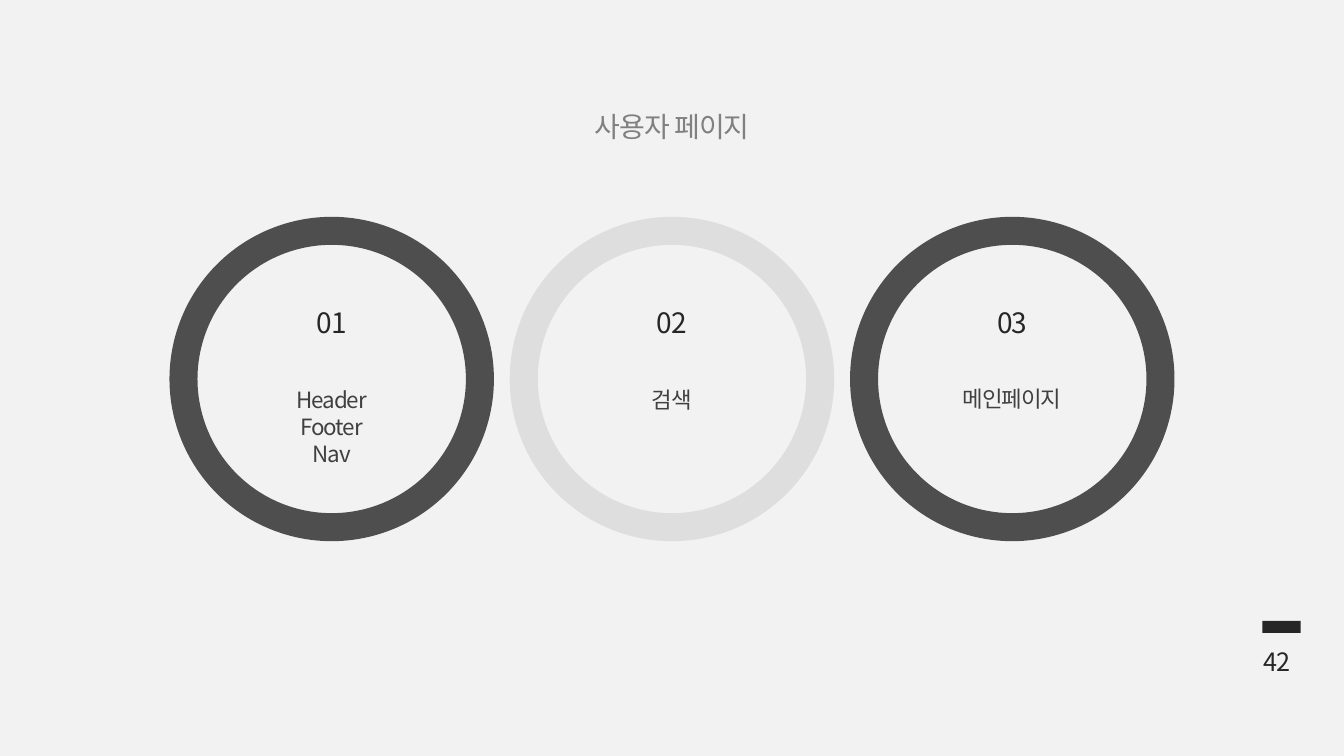
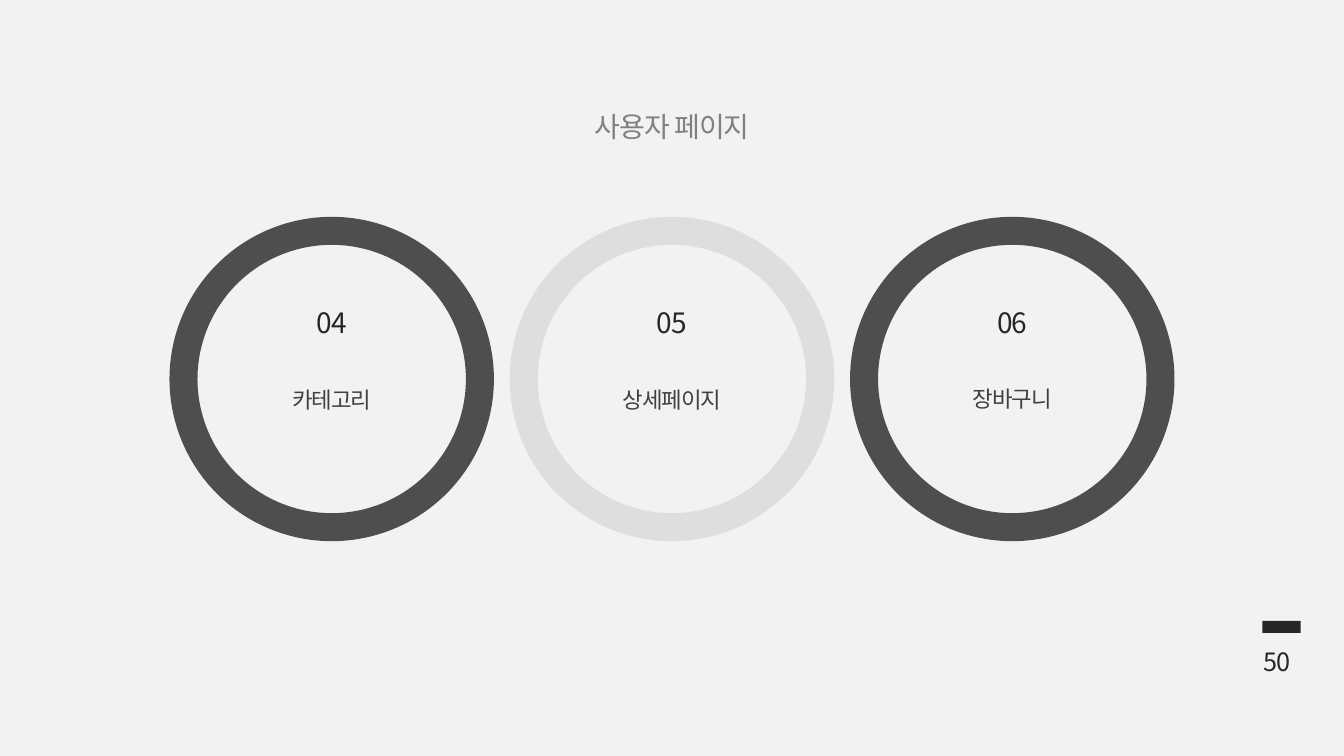
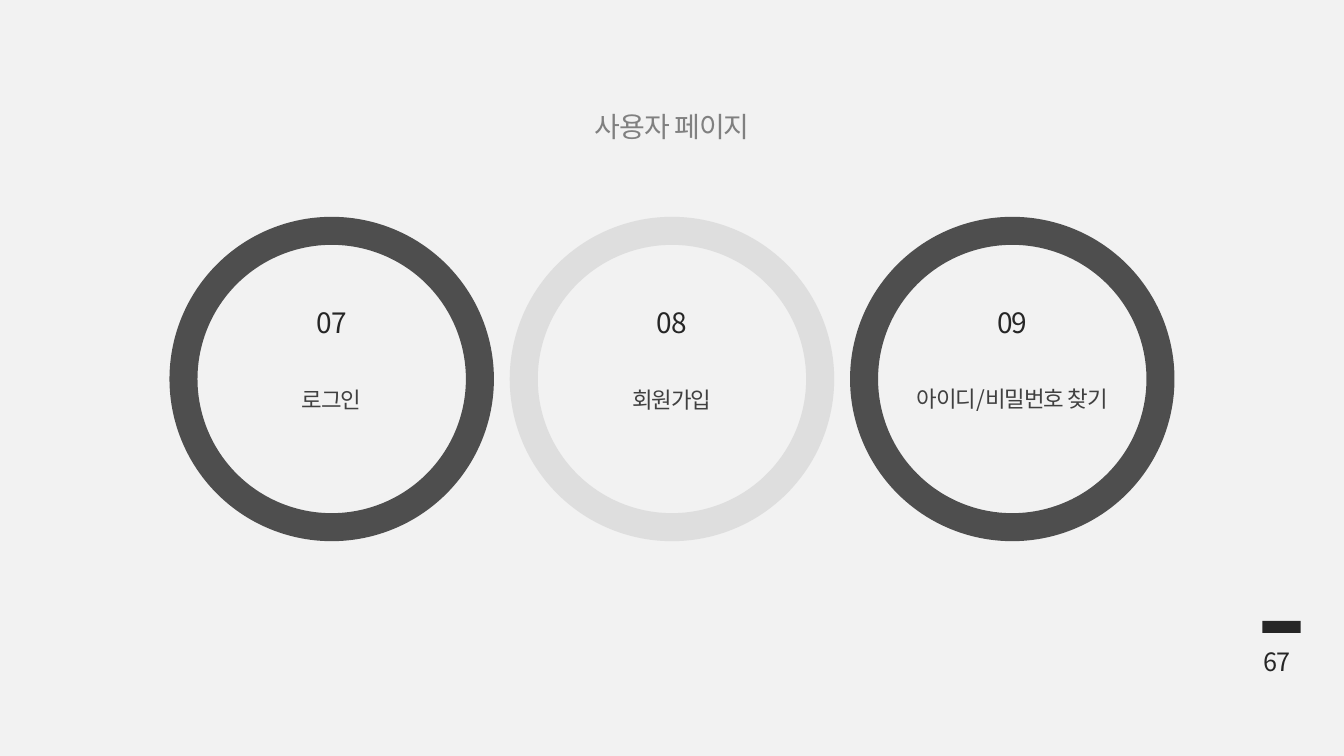
from lxml.etree import SubElement
from pptx import Presentation
from pptx.dml.color import RGBColor
from pptx.enum.shapes import MSO_SHAPE
from pptx.enum.text import PP_ALIGN
from pptx.oxml.ns import qn
from pptx.util import Inches, Pt

TITLE = "사용자 페이지"
PAGES = [
    ("42", [["Header", "Footer", "Nav"], ["검색"], ["메인페이지"]]),
    ("50", [["카테고리"], ["상세페이지"], ["장바구니"]]),
    ("67", [["로그인"], ["회원가입"], ["아이디/비밀번호 찾기"]]),
]

FONT = "Noto Sans CJK KR"
PAPER = RGBColor(0xF2, 0xF2, 0xF2)
INK = RGBColor(0x26, 0x26, 0x26)
TEXT = RGBColor(0x40, 0x40, 0x40)
GRAY = RGBColor(0x80, 0x80, 0x80)
PALE = RGBColor(0xD9, 0xD9, 0xD9)

WIDTH, HEIGHT = 13.33, 7.5
MARGIN, RING, TOP = 1.82, 2.94, 2.29
RINGS = [(INK, 3.78), (PALE, 3.78), (INK, 3.77)]
STEP = (WIDTH - 2 * MARGIN - RING) / (len(RINGS) - 1)


def add_text(slide, lines, box, size, color, align=PP_ALIGN.CENTER):
    frame = slide.shapes.add_textbox(*map(Inches, box)).text_frame
    frame.word_wrap = False
    frame.text = "\n".join(lines)
    for para in frame.paragraphs:
        para.alignment = align
        font = para.font
        font.size = Pt(size)
        font.color.rgb = color
        font.name = FONT
        props = font._rPr
        props.set("spc", "-70")
        SubElement(props, qn("a:ea"), typeface=FONT)


def add_ring(slide, left, color):
    ring = slide.shapes.add_shape(
        MSO_SHAPE.OVAL, *map(Inches, (left, TOP, RING, RING)))
    ring.shadow.inherit = False
    ring.fill.background()
    ring.line.width = Pt(20)
    ring.line.color.rgb = color
    tint = ring.line._ln.find(".//" + qn("a:srgbClr"))
    SubElement(tint, qn("a:alpha"), val="80000")


def add_frame(slide, page):
    add_text(slide, [page], (12.43, 6.36, 0.47, 0.4), 18, INK, PP_ALIGN.RIGHT)
    bar = slide.shapes.add_shape(
        MSO_SHAPE.RECTANGLE, *map(Inches, (12.52, 6.16, 0.38, 0.12)))
    bar.shadow.inherit = False
    bar.fill.solid()
    bar.fill.fore_color.rgb = INK
    bar.line.fill.background()
    add_text(slide, [TITLE], (3.16, 1.04, 7.01, 0.44), 20, GRAY)


def main():
    deck = Presentation()
    deck.slide_width, deck.slide_height = Inches(WIDTH), Inches(HEIGHT)
    back = deck.slide_master.background.fill
    back.solid()
    back.fore_color.rgb = PAPER
    count = 0
    for page, topics in PAGES:
        slide = deck.slides.add_slide(deck.slide_layouts[6])
        add_frame(slide, page)
        for col, (lines, (color, top)) in enumerate(zip(topics, RINGS)):
            count += 1
            left = MARGIN + col * STEP
            mid = left + RING / 2
            wide = 2.37 if max(map(len, lines)) > 6 else 2.16
            tall = 0.1 + 0.27 * len(lines)
            add_ring(slide, left, color)
            add_text(slide, lines, (mid - wide / 2, top, wide, tall), 16, TEXT)
            add_text(slide, [f"{count:02}"],
                     (mid - 0.27, 2.98, 0.54, 0.44), 20, INK)
    deck.save("out.pptx")


if __name__ == "__main__":
    main()
